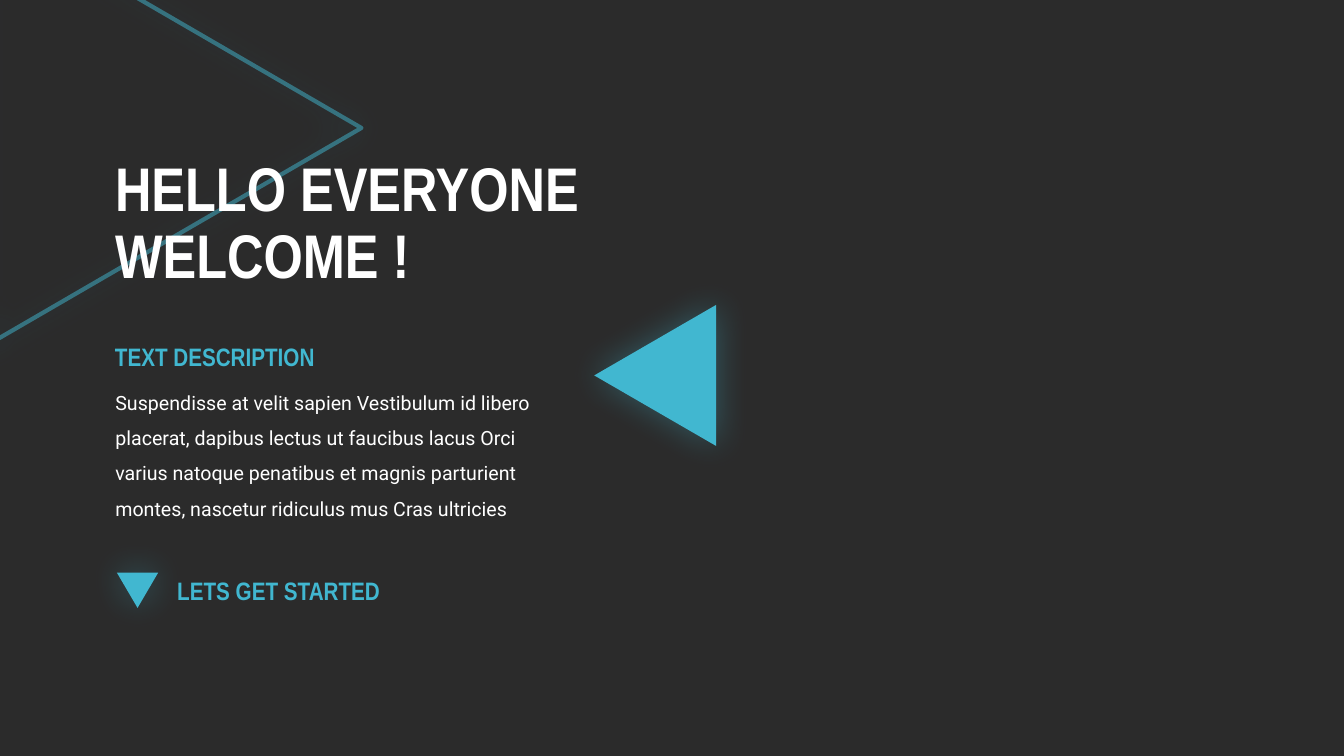
from lxml import etree
from pptx import Presentation
from pptx.dml.color import RGBColor
from pptx.enum.shapes import MSO_SHAPE
from pptx.enum.text import MSO_ANCHOR, MSO_AUTO_SIZE, PP_ALIGN
from pptx.oxml.ns import qn
from pptx.util import Pt

TRIANGLE = MSO_SHAPE.ISOSCELES_TRIANGLE
MIDDLE = MSO_ANCHOR.MIDDLE
LEFT = PP_ALIGN.LEFT
NO_AUTOFIT = MSO_AUTO_SIZE.NONE
GROW = MSO_AUTO_SIZE.SHAPE_TO_FIT_TEXT

CHARCOAL = RGBColor(0x2B, 0x2B, 0x2B)
CYAN = RGBColor(0x41, 0xB7, 0xD0)
WHITE = RGBColor(0xFF, 0xFF, 0xFF)

HEADING_FONT = "Arial Narrow"
BODY_FONT = "Roboto"


def set_alpha(color_element, percent):
    etree.SubElement(color_element, qn("a:alpha"), val=str(percent * 1000))


class WelcomeSlide:
    def __init__(self, presentation):
        self.slide = presentation.slides.add_slide(presentation.slide_layouts[0])
        subtitle = self.slide.placeholders[1]._element
        subtitle.getparent().remove(subtitle)
        background = self.slide.background.fill
        background.solid()
        background.fore_color.rgb = CHARCOAL

    def add_glow(self, shape):
        """Surround the shape with a soft cyan shadow that has no offset."""
        shape.shadow.inherit = False
        effects = shape._element.spPr.find(qn("a:effectLst"))
        shadow = etree.SubElement(
            effects, qn("a:outerShdw"), blurRad=str(Pt(25)), dist="0", dir="0",
            algn="ctr", rotWithShape="0")
        color = etree.SubElement(shadow, qn("a:srgbClr"), val=str(CYAN))
        set_alpha(color, 35)

    def triangle(self, left, top, width, height, rotation, outlined=False):
        shape = self.slide.shapes.add_shape(
            TRIANGLE, Pt(left), Pt(top), Pt(width), Pt(height))
        shape.rotation = rotation
        if outlined:
            shape.fill.background()
            shape.line.color.rgb = CYAN
            shape.line.width = Pt(3)
            set_alpha(shape.line._ln.find(".//" + qn("a:srgbClr")), 50)
        else:
            shape.fill.solid()
            shape.fill.fore_color.rgb = CYAN
            shape.line.fill.background()
        self.add_glow(shape)

    def add_run(self, paragraph, text, size, font, color, bold):
        run = paragraph.add_run()
        run.text = text
        run.font.size = Pt(size)
        run.font.name = font
        run.font.color.rgb = color
        run.font.bold = bold

    def title(self, lines, left, top, width, height):
        """Fill the title placeholder and bring it to the front."""
        title = self.slide.shapes.title
        title._element.getparent().append(title._element)
        title.left, title.top = Pt(left), Pt(top)
        title.width, title.height = Pt(width), Pt(height)
        frame = title.text_frame
        frame.word_wrap = True
        frame.auto_size = NO_AUTOFIT
        frame.vertical_anchor = MIDDLE
        paragraph = frame.paragraphs[0]
        paragraph.alignment = LEFT
        paragraph.line_spacing = 0.9
        for index, line in enumerate(lines):
            if index:
                paragraph.add_line_break()
            self.add_run(paragraph, line, 44, HEADING_FONT, WHITE, True)

    def text(self, text, left, top, width, height, size=18, font=HEADING_FONT,
             color=CYAN, bold=True, line_spacing=1.0):
        box = self.slide.shapes.add_textbox(
            Pt(left), Pt(top), Pt(width), Pt(height))
        frame = box.text_frame
        frame.word_wrap = True
        frame.auto_size = GROW
        paragraph = frame.paragraphs[0]
        paragraph.line_spacing = line_spacing
        self.add_run(paragraph, text, size, font, color, bold)


def main():
    presentation = Presentation()
    presentation.slide_width = Pt(960)
    presentation.slide_height = Pt(540)

    welcome = WelcomeSlide(presentation)
    welcome.triangle(-37.4, -45.4, 317.5, 273.6, 90, outlined=True)
    welcome.title(["HELLO EVERYONE", "WELCOME !"], 75, 103.7, 540, 113.8)
    welcome.triangle(417.6, 224.6, 100.8, 87.1, 270)
    welcome.text(
        "Suspendisse at velit sapien Vestibulum id libero placerat, dapibus "
        "lectus ut faucibus lacus Orci varius natoque penatibus et magnis "
        "parturient montes, nascetur ridiculus mus Cras ultricies",
        75.3, 267.1, 324.7, 106.6, size=14, font=BODY_FONT, color=WHITE,
        bold=False, line_spacing=1.5)
    welcome.text("TEXT DESCRIPTION", 75, 240.5, 176.4, 28.8)
    welcome.triangle(83.5, 409, 29.5, 25.2, 180)
    welcome.text("LETS GET STARTED", 119.5, 407.5, 176.4, 28.8)

    presentation.save("out.pptx")


if __name__ == "__main__":
    main()
